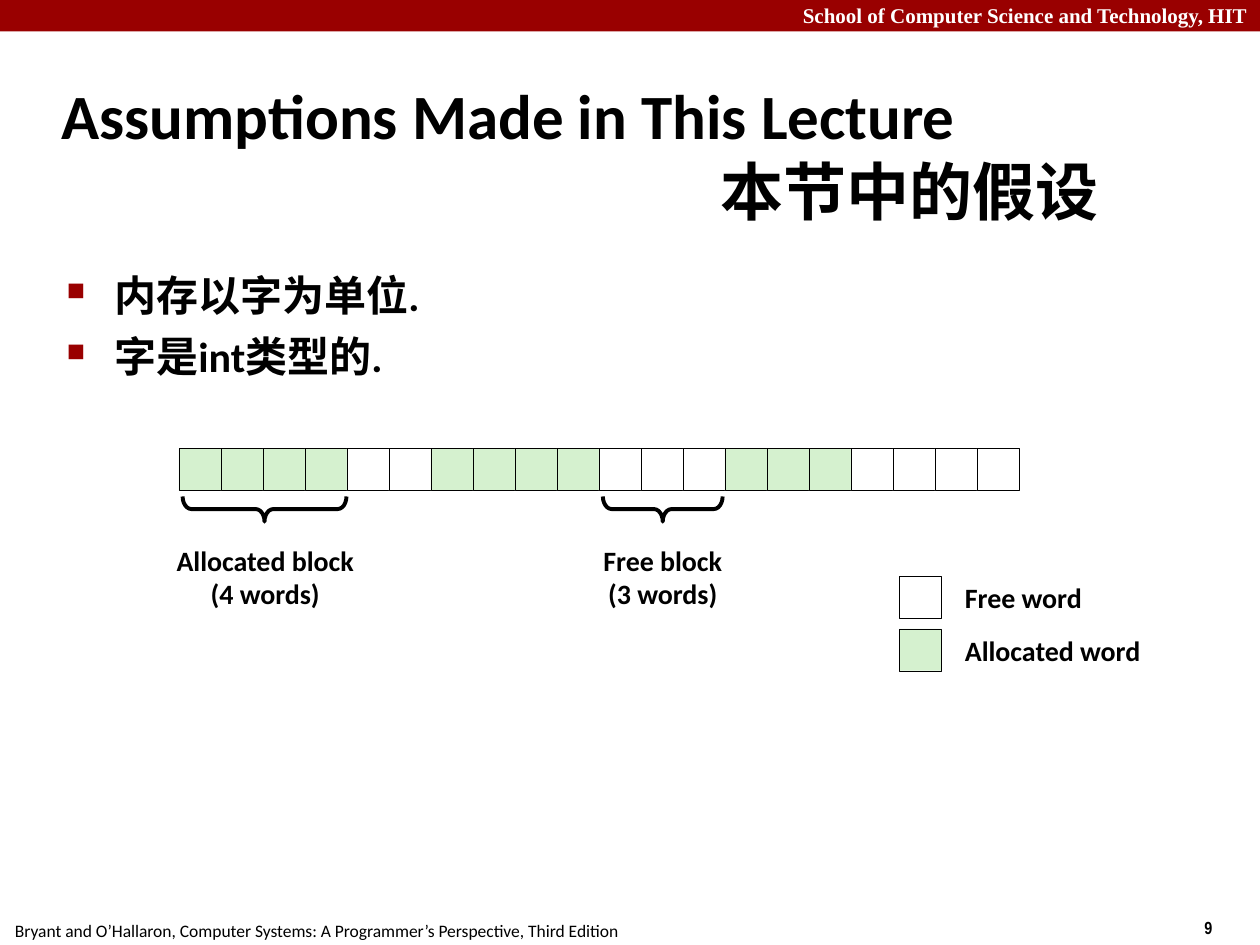
from dataclasses import dataclass

from lxml.etree import SubElement
from pptx import Presentation
from pptx.dml.color import RGBColor
from pptx.enum.shapes import MSO_SHAPE
from pptx.enum.text import MSO_ANCHOR, MSO_AUTO_SIZE, PP_ALIGN
from pptx.oxml.ns import qn
from pptx.shapes.autoshape import Shape
from pptx.slide import Slide
from pptx.util import Inches, Pt

COLORS = {
    "band": "990000",
    "ink": "000000",
    "paper": "FFFFFF",
    "allocated": "D5F1CF",
    "free": "FFFFFF",
}
WORD = 1 / 3
HEAP_LEFT = 1.42
HEAP_TOP = 3.56


@dataclass(frozen=True)
class Label:
    left: float
    top: float
    width: float
    height: float
    lines: tuple[str, ...]
    size: int = 16
    bold: bool = True
    font: str = "Calibri"
    color: str = "ink"
    align: PP_ALIGN = PP_ALIGN.LEFT
    spacing: float = 1.0
    wrap: bool = False
    grow: bool = True
    anchor: MSO_ANCHOR = MSO_ANCHOR.TOP


@dataclass(frozen=True)
class Block:
    words: int
    kind: str


@dataclass(frozen=True)
class Brace:
    center: float
    span: float


HEAP = (
    Block(4, "allocated"),
    Block(2, "free"),
    Block(4, "allocated"),
    Block(3, "free"),
    Block(3, "allocated"),
    Block(4, "free"),
)
BRACES = (Brace(2.1, 1.3), Brace(5.26, 0.95))
LEGEND = (("free", "Free word", 4.57, 1.13), ("allocated", "Allocated word", 4.99, 1.6))

PAGE_NUMBER = Label(9.46, 7.23, 0.75, 0.27, ("9",), size=10, font="Arial Narrow", wrap=True)
FOOTER = Label(
    0.02, 7.25, 5.01, 0.27,
    ("Bryant and O’Hallaron, Computer Systems: A Programmer’s Perspective, Third Edition",),
    size=10, bold=False,
)
SCHOOL = Label(
    0, -0.03, 10, 0.3, ("School of Computer Science and Technology, HIT",),
    size=12, font="Times New Roman", color="paper", align=PP_ALIGN.RIGHT, wrap=True,
)
TITLE = Label(
    0.39, 0.48, 9.18, 1.46, ("Assumptions Made in This Lecture", "本节中的假设"),
    size=36, wrap=True, grow=False, anchor=MSO_ANCHOR.MIDDLE,
)
ASSUMPTIONS = Label(
    0.43, 2.09, 8.64, 4.73, ("内存以字为单位.", "字是int类型的."),
    size=24, wrap=True, grow=False,
)
CAPTIONS = (
    Label(1.3, 4.28, 1.61, 0.62, ("Allocated block", "(4 words)"),
          align=PP_ALIGN.CENTER, spacing=0.98),
    Label(4.69, 4.28, 1.14, 0.62, ("Free block", "(3 words)"),
          align=PP_ALIGN.CENTER, spacing=0.98),
)


def rgb(name: str) -> RGBColor:
    return RGBColor.from_string(COLORS[name])


def add_label(slide: Slide, label: Label) -> Shape:
    box = slide.shapes.add_textbox(
        Inches(label.left), Inches(label.top), Inches(label.width), Inches(label.height)
    )
    frame = box.text_frame
    frame.word_wrap = label.wrap
    frame.auto_size = MSO_AUTO_SIZE.SHAPE_TO_FIT_TEXT if label.grow else MSO_AUTO_SIZE.NONE
    frame.vertical_anchor = label.anchor
    for index, line in enumerate(label.lines):
        paragraph = frame.add_paragraph() if index else frame.paragraphs[0]
        paragraph.alignment = label.align
        paragraph.line_spacing = label.spacing
        run = paragraph.add_run()
        run.text = line
        run.font.name = label.font
        run.font.size = Pt(label.size)
        run.font.bold = label.bold
        run.font.color.rgb = rgb(label.color)
    return box


def add_title(slide: Slide) -> None:
    title = add_label(slide, TITLE)
    translation = title.text_frame.paragraphs[1]
    translation._p.get_or_add_pPr().set("marL", str(Inches(5.23)))


def add_assumptions(slide: Slide) -> None:
    assumptions = add_label(slide, ASSUMPTIONS)
    for paragraph in assumptions.text_frame.paragraphs:
        paragraph.space_before = Pt(6)
        properties = paragraph._p.get_or_add_pPr()
        properties.set("marL", str(Inches(0.38)))
        properties.set("indent", str(-Inches(0.38)))
        bullet_color = SubElement(properties, qn("a:buClr"))
        SubElement(bullet_color, qn("a:srgbClr"), val=COLORS["band"])
        SubElement(properties, qn("a:buSzPct"), val="60000")
        SubElement(properties, qn("a:buChar"), char="■")


def add_band(slide: Slide) -> None:
    band = slide.shapes.add_shape(MSO_SHAPE.RECTANGLE, 0, 0, Inches(10), Inches(0.25))
    band.shadow.inherit = False
    band.fill.solid()
    band.fill.fore_color.rgb = rgb("band")
    band.line.fill.background()


def add_word(slide: Slide, left: float, top: float, kind: str) -> None:
    word = slide.shapes.add_shape(
        MSO_SHAPE.RECTANGLE, Inches(left), Inches(top), Inches(WORD), Inches(WORD)
    )
    word.shadow.inherit = False
    word.fill.solid()
    word.fill.fore_color.rgb = rgb(kind)
    word.line.color.rgb = rgb("ink")
    word.line.width = Pt(0.25)


def add_heap(slide: Slide) -> None:
    kinds = [block.kind for block in HEAP for _ in range(block.words)]
    for index, kind in enumerate(kinds):
        add_word(slide, HEAP_LEFT + index * WORD, HEAP_TOP, kind)


def add_brace(slide: Slide, brace: Brace) -> None:
    depth, middle = 0.2, 4.04
    outline = slide.shapes.add_shape(
        MSO_SHAPE.LEFT_BRACE,
        Inches(brace.center - depth / 2), Inches(middle - brace.span / 2),
        Inches(depth), Inches(brace.span),
    )
    outline.rotation = 270
    outline.adjustments[0] = 0.35
    outline.shadow.inherit = False
    outline.fill.background()
    outline.line.color.rgb = rgb("ink")
    outline.line.width = Pt(2.25)


def main() -> None:
    presentation = Presentation()
    presentation.slide_width = Inches(10)
    presentation.slide_height = Inches(7.5)
    slide = presentation.slides.add_slide(presentation.slide_layouts[6])
    add_band(slide)
    for label in (PAGE_NUMBER, FOOTER, SCHOOL):
        add_label(slide, label)
    add_title(slide)
    add_assumptions(slide)
    add_heap(slide)
    for caption in CAPTIONS:
        add_label(slide, caption)
    for kind, meaning, top, width in LEGEND:
        add_word(slide, 7.14, top, kind)
        add_label(slide, Label(7.56, top, width, 0.36, (meaning,), spacing=0.98))
    for brace in BRACES:
        add_brace(slide, brace)
    presentation.save("out.pptx")


if __name__ == "__main__":
    main()
